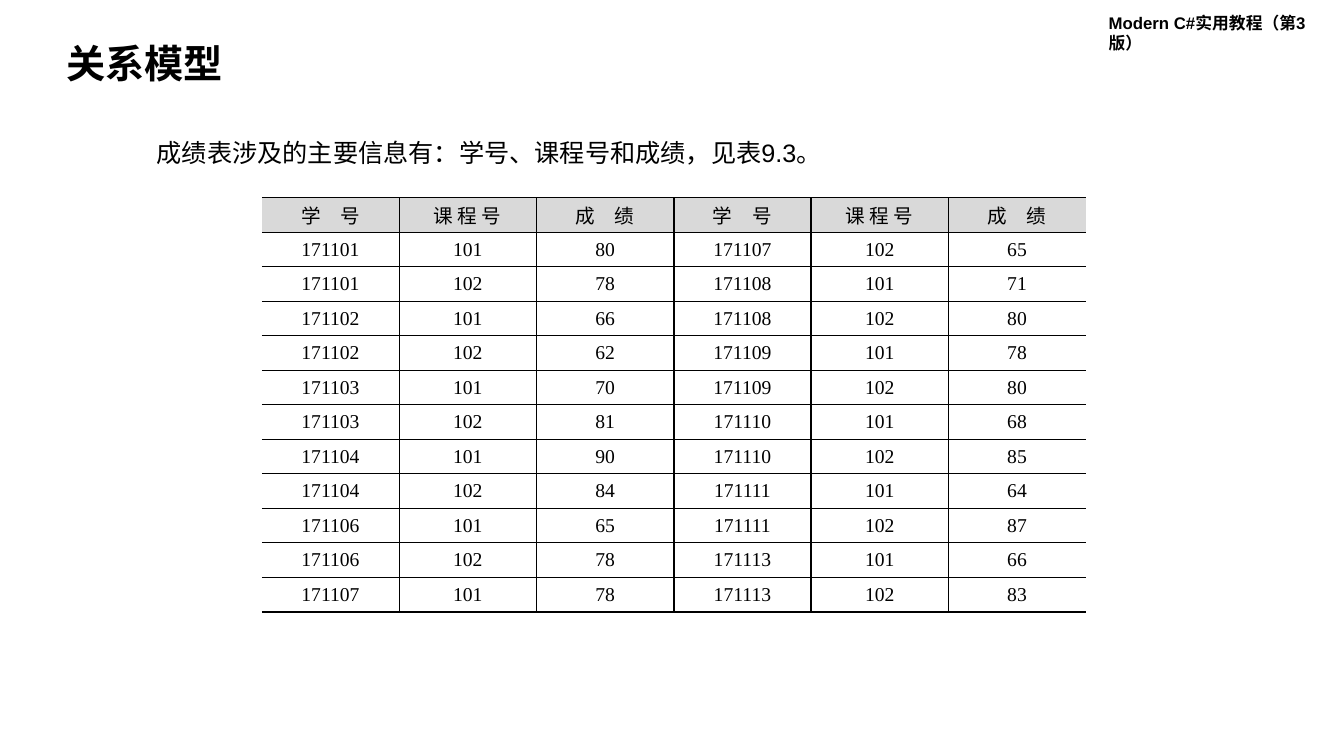
"""Build the slide that shows the score table of the relational model."""
from dataclasses import dataclass
from itertools import product

from lxml import etree
from pptx import Presentation
from pptx.dml import color
from pptx.enum import text
from pptx.oxml import ns
from pptx.slide import Slide
from pptx.table import _Cell
from pptx.text.text import TextFrame
from pptx.util import Cm, Pt


@dataclass(frozen=True)
class Theme:
    ink: str = "000000"
    header_fill: str = "D9D9D9"
    sans: str = "Arial"
    serif: str = "Times New Roman"
    book_size: float = 12
    title_size: float = 28
    body_size: float = 18
    table_size: float = 14
    rule: float = 1
    middle_rule: float = 1.5


@dataclass(frozen=True)
class Label:
    words: str
    left: float
    top: float
    width: float
    height: float
    size: float
    bold: bool = False
    spacing: float = 1.0
    anchor: text.MSO_ANCHOR = text.MSO_ANCHOR.TOP


THEME = Theme()
LABELS = (
    Label("Modern C#实用教程（第3版）", 27.69, 0.2, 6.2, 0.76, THEME.book_size, bold=True),
    Label("关系模型", 1.42, 0.99, 17.75, 1.32, THEME.title_size, bold=True,
          spacing=0.9, anchor=text.MSO_ANCHOR.MIDDLE),
    Label("成绩表涉及的主要信息有：学号、课程号和成绩，见表9.3。",
          3.7, 3.33, 17.3, 1.02, THEME.body_size),
)
HEADINGS = ("学　号", "课 程 号", "成　绩")
STUDENTS = ("171101", "171102", "171103", "171104", "171106", "171107",
            "171108", "171109", "171110", "171111", "171113")
COURSES = ("101", "102")
SCORES = (80, 78, 66, 62, 70, 81, 90, 84, 65, 78, 78,
          65, 71, 80, 78, 80, 68, 85, 64, 87, 66, 83)
TABLE_LEFT, TABLE_TOP = 6.6, 4.98
COLUMN_WIDTH, ROW_HEIGHT = 3.46, 0.87


def style_text(frame: TextFrame, font: str, size: float, bold: bool = False) -> None:
    """Give every run of a text frame its font, size and colour."""
    for para in frame.paragraphs:
        for span in para.runs:
            span.font.name = font
            span.font.size = Pt(size)
            span.font.bold = bold
            span.font.color.rgb = color.RGBColor.from_string(THEME.ink)


def add_label(page: Slide, label: Label) -> None:
    """Add one text box to the page."""
    box = page.shapes.add_textbox(
        Cm(label.left), Cm(label.top), Cm(label.width), Cm(label.height))
    frame = box.text_frame
    frame.word_wrap = True
    frame.vertical_anchor = label.anchor
    frame.text = label.words
    frame.paragraphs[0].line_spacing = label.spacing
    style_text(frame, THEME.sans, label.size, label.bold)


def add_border(cell: _Cell, side: str, points: float) -> None:
    """Draw one side of a cell, or hide it when its width is zero."""
    properties = cell._tc.get_or_add_tcPr()
    line = etree.SubElement(properties, ns.qn(f"a:ln{side}"), w=str(Pt(points)))
    if points:
        fill = etree.SubElement(line, ns.qn("a:solidFill"))
        etree.SubElement(fill, ns.qn("a:srgbClr"), val=THEME.ink)
    else:
        etree.SubElement(line, ns.qn("a:noFill"))


def fill_cell(cell: _Cell, words: str, header: bool, left: float, right: float) -> None:
    """Write one table cell with its borders and fill."""
    cell.text = words
    cell.vertical_anchor = text.MSO_ANCHOR.MIDDLE
    cell.margin_left = cell.margin_right = Cm(0.18)
    cell.margin_top = cell.margin_bottom = 0
    cell.text_frame.paragraphs[0].alignment = text.PP_ALIGN.CENTER
    style_text(cell.text_frame, THEME.serif, THEME.table_size)
    sides = {"L": left, "R": right, "T": THEME.rule, "B": THEME.rule}
    for side, points in sides.items():
        add_border(cell, side, points)
    if header:
        cell.fill.solid()
        cell.fill.fore_color.rgb = color.RGBColor.from_string(THEME.header_fill)
    else:
        cell.fill.background()


def add_score_table(page: Slide) -> None:
    """Add the scores as two halves set side by side."""
    records = [(student, course, str(score)) for (student, course), score
               in zip(product(STUDENTS, COURSES), SCORES)]
    half = len(records) // 2
    rows = [HEADINGS * 2]
    rows += [first + second for first, second in zip(records[:half], records[half:])]
    columns = len(rows[0])
    edges = [THEME.rule] * (columns + 1)
    edges[0] = edges[-1] = 0
    edges[columns // 2] = THEME.middle_rule
    table = page.shapes.add_table(
        len(rows), columns, Cm(TABLE_LEFT), Cm(TABLE_TOP),
        Cm(COLUMN_WIDTH * columns), Cm(ROW_HEIGHT * len(rows))).table
    table.first_row = table.horz_banding = False
    for column in table.columns:
        column.width = Cm(COLUMN_WIDTH)
    for index, row in enumerate(rows):
        table.rows[index].height = Cm(ROW_HEIGHT)
        for place, words in enumerate(row):
            fill_cell(table.cell(index, place), words, index == 0,
                      edges[place], edges[place + 1])


def main() -> None:
    """Create the deck and save it."""
    deck = Presentation()
    deck.slide_width, deck.slide_height = Cm(33.87), Cm(19.05)
    page = deck.slides.add_slide(deck.slide_layouts[6])
    for label in LABELS:
        add_label(page, label)
    add_score_table(page)
    deck.save("out.pptx")


if __name__ == "__main__":
    main()
